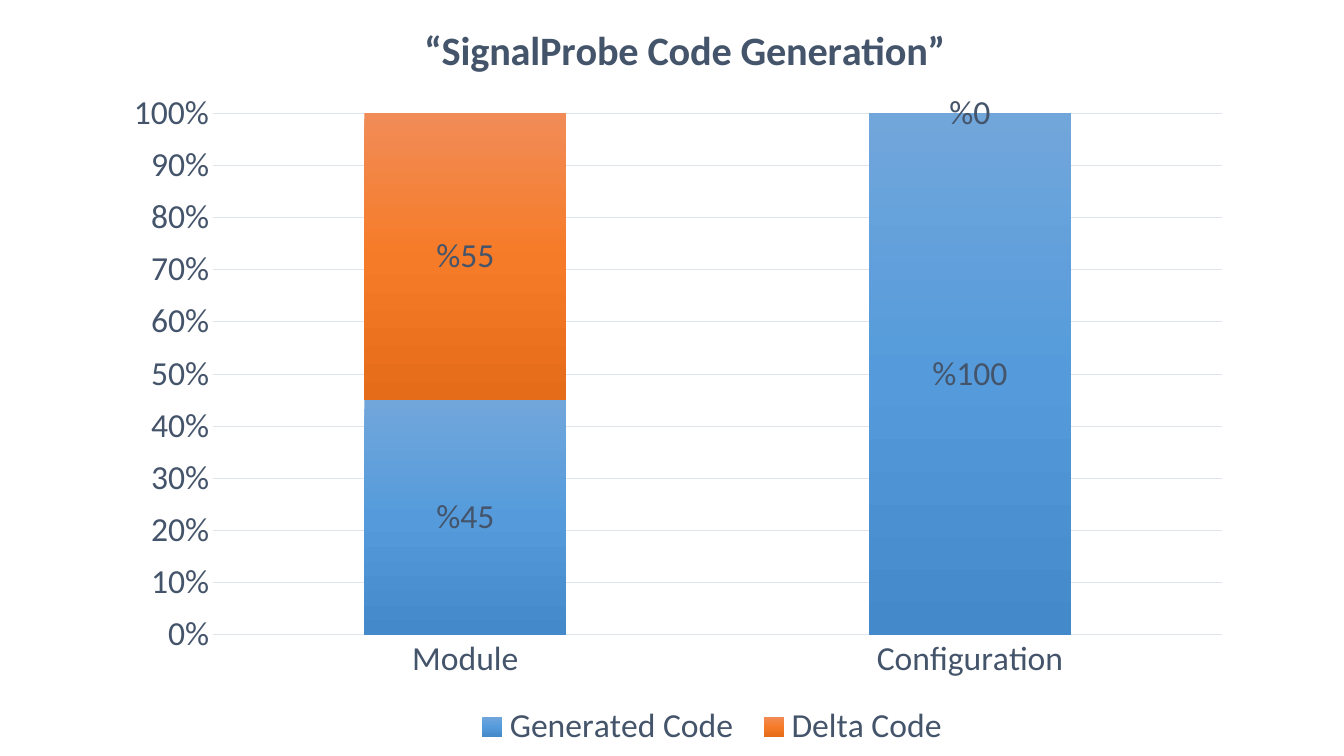
from lxml import etree
from pptx import Presentation
from pptx.chart.data import CategoryChartData
from pptx.dml.color import RGBColor
from pptx.enum.chart import (XL_CHART_TYPE, XL_LABEL_POSITION,
                             XL_LEGEND_POSITION, XL_TICK_MARK)
from pptx.oxml import parse_xml
from pptx.oxml.ns import nsdecls, qn
from pptx.util import Emu, Pt

STACKED = XL_CHART_TYPE.COLUMN_STACKED_100
CENTER = XL_LABEL_POSITION.CENTER
BOTTOM = XL_LEGEND_POSITION.BOTTOM
NO_TICK = XL_TICK_MARK.NONE
SCALE = 914400 / 100.8

INK, GRID = "44546A", "E0E5EB"
BLUE = ("71A6DB", "559BDB", "448ACA")
ORANGE = ("F18C57", "F67B28", "E56C19")


def px(n):
    return Emu(round(n * SCALE))


def rgb(value):
    return RGBColor.from_string(value)


class Deck:
    """Holds the text style and the current slide."""
    font, size, color = "Calibri", 24, INK

    def __init__(self, width, height):
        self.prs = Presentation()
        self.prs.slide_width, self.prs.slide_height = px(width), px(height)
        self.slide = self.prs.slides.add_slide(self.prs.slide_layouts[6])

    def style(self, font, size=None, bold=False):
        font.name, font.size, font.bold = self.font, Pt(size or self.size), bold
        font.color.rgb = rgb(self.color)

    def line(self, fmt, color):
        fmt.line.color.rgb = rgb(color)
        fmt.line.width = Pt(0.75)

    def gradient(self, series, colors):
        """Vertical gradient with evenly spaced stops."""
        step = 100000 // (len(colors) - 1)
        stops = "".join(f'<a:gs pos="{i * step}"><a:srgbClr val="{c}"/></a:gs>'
                        for i, c in enumerate(colors))
        fill = parse_xml(f'<a:gradFill {nsdecls("a")}><a:gsLst>{stops}</a:gsLst>'
                         '<a:lin ang="5400000" scaled="0"/></a:gradFill>')
        series.format.line.fill.background()
        series._element.spPr.insert(0, fill)

    def layout(self, element, index, target=None, **box):
        """Place a chart part by fractions of the chart area."""
        for old in element.findall(qn("c:layout")):
            element.remove(old)
        layout = etree.Element(qn("c:layout"))
        manual = etree.SubElement(layout, qn("c:manualLayout"))
        values = {"layoutTarget": target} if target else {}
        values.update(xMode="edge", yMode="edge", **box)
        for tag, value in values.items():
            etree.SubElement(manual, qn("c:" + tag)).set("val", str(value))
        element.insert(index, layout)

    def chart(self, x, y, w, h, title, categories, series):
        data = CategoryChartData(number_format="%0")
        data.categories = categories
        for name, values, _ in series:
            data.add_series(name, values)
        chart = self.slide.shapes.add_chart(
            STACKED, px(x), px(y), px(w), px(h), data).chart
        self.style(chart.font)

        # Title and legend
        chart.has_title = True
        tf = chart.chart_title.text_frame
        tf.text = title
        self.style(tf.paragraphs[0].runs[0].font, 28.8, True)
        chart.has_legend = True
        chart.legend.position = BOTTOM
        chart.legend.include_in_layout = False
        self.style(chart.legend.font)

        # Axes
        for axis in (chart.category_axis, chart.value_axis):
            axis.major_tick_mark = axis.minor_tick_mark = NO_TICK
            self.style(axis.tick_labels.font)
        self.line(chart.category_axis.format, GRID)
        value_axis = chart.value_axis
        value_axis.format.line.fill.background()
        self.line(value_axis.major_gridlines.format, GRID)
        value_axis.minimum_scale, value_axis.maximum_scale = 0, 1
        value_axis.major_unit = 0.1
        value_axis.tick_labels.number_format = "0%"
        value_axis.tick_labels.number_format_is_linked = False

        # Columns and labels
        plot = chart.plots[0]
        plot.gap_width, plot.overlap = 150, 100
        plot.vary_by_categories = False
        for s, (_, _, colors) in zip(plot.series, series):
            self.gradient(s, colors)
            labels = s.data_labels
            labels.show_value = True
            labels.position = CENTER
            labels.number_format = "%0"
            labels.number_format_is_linked = False
            self.style(labels.font)
        return chart


deck = Deck(1344, 756)

# Share of generated and delta code
chart = deck.chart(111, 0, 1134, 756, "“SignalProbe Code Generation”",
                   ("Module", "Configuration"),
                   (("Generated Code", (0.45, 1), BLUE),
                    ("Delta Code", (0.55, 0), ORANGE)))

# Places of the chart parts
deck.layout(chart.chart_title._element, 1, x=0.27, y=0.02)
deck.layout(chart._chartSpace.chart.plotArea, 0, "inner",
            x=0.09, y=0.15, w=0.89, h=0.69)
deck.layout(chart.legend._element, 1, x=0.31, y=0.93, w=0.44, h=0.07)

deck.prs.save("out.pptx")
